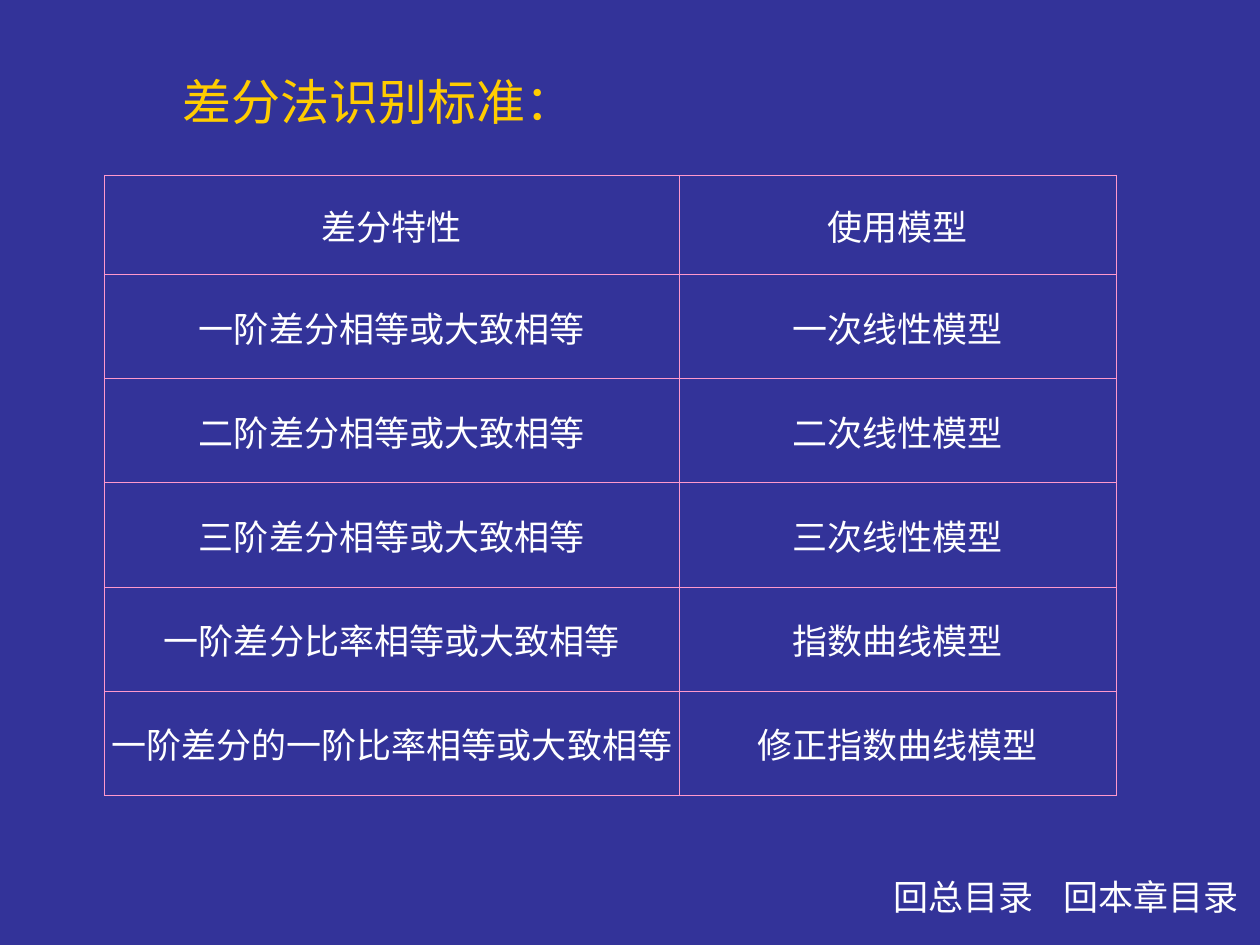
from lxml.etree import SubElement
from pptx import Presentation
from pptx.dml.color import RGBColor
from pptx.enum.text import MSO_ANCHOR as Anchor, MSO_AUTO_SIZE as AutoSize, PP_ALIGN as Align
from pptx.oxml.ns import qn
from pptx.util import Inches, Pt

COLORS = {"background": "333399", "title": "FFCC00", "text": "FFFFFF", "border": "FF99CC"}
TITLE_ONLY_LAYOUT = 5

MODELS_BY_DIFFERENCE = [
    ("差分特性", "使用模型"),
    ("一阶差分相等或大致相等", "一次线性模型"),
    ("二阶差分相等或大致相等", "二次线性模型"),
    ("三阶差分相等或大致相等", "三次线性模型"),
    ("一阶差分比率相等或大致相等", "指数曲线模型"),
    ("一阶差分的一阶比率相等或大致相等", "修正指数曲线模型"),
]


class SlideBuilder:
    body_font = "Arial"
    label_font = "Times New Roman"
    title_size = Pt(28)
    text_size = Pt(20)
    border_width = Pt(0.45)

    def __init__(self, presentation):
        layout = presentation.slide_layouts[TITLE_ONLY_LAYOUT]
        self.slide = presentation.slides.add_slide(layout)
        fill = self.slide.background.fill
        fill.solid()
        fill.fore_color.rgb = RGBColor.from_string(COLORS["background"])

    def add_text(self, paragraph, text, font, size, color, align):
        paragraph.alignment = align
        run = paragraph.add_run()
        run.text = text
        run.font.name = font
        run.font.size = size
        run.font.color.rgb = RGBColor.from_string(COLORS[color])

    def title(self, text, left, top, width, height):
        shape = self.slide.shapes.title
        shape.left, shape.top = Inches(left), Inches(top)
        shape.width, shape.height = Inches(width), Inches(height)
        frame = shape.text_frame
        frame.auto_size = AutoSize.NONE
        frame.vertical_anchor = Anchor.TOP
        frame.margin_left = Inches(0.2)
        self.add_text(frame.paragraphs[0], text, self.body_font, self.title_size,
                      "title", Align.LEFT)

    def label(self, text, left, top, width, height, align):
        box = self.slide.shapes.add_textbox(
            Inches(left), Inches(top), Inches(width), Inches(height))
        frame = box.text_frame
        frame.word_wrap = True
        frame.auto_size = AutoSize.SHAPE_TO_FIT_TEXT
        frame.margin_left = frame.margin_right = 0
        paragraph = frame.paragraphs[0]
        paragraph.line_spacing = 0.9
        self.add_text(paragraph, text, self.label_font, self.text_size, "text", align)

    def table(self, rows, left, top, column_widths, row_heights):
        table = self.slide.shapes.add_table(
            len(rows), len(column_widths), Inches(left), Inches(top),
            Inches(sum(column_widths)), Inches(sum(row_heights))).table
        table.first_row = table.horz_banding = False
        for column, width in zip(table.columns, column_widths):
            column.width = Inches(width)
        for row, height, texts in zip(table.rows, row_heights, rows):
            row.height = Inches(height)
            for cell, text in zip(row.cells, texts):
                self.cell(cell, text)

    def cell(self, cell, text):
        cell.vertical_anchor = Anchor.MIDDLE
        cell.margin_left = cell.margin_right = Inches(0.02)
        self.add_text(cell.text_frame.paragraphs[0], text, self.body_font,
                      self.text_size, "text", Align.CENTER)
        self.borders(cell)
        cell.fill.background()

    def borders(self, cell):
        properties = cell._tc.get_or_add_tcPr()
        for side in ("lnL", "lnR", "lnT", "lnB"):
            line = SubElement(properties, qn(f"a:{side}"), w=str(self.border_width))
            fill = SubElement(line, qn("a:solidFill"))
            SubElement(fill, qn("a:srgbClr"), val=COLORS["border"])


def main():
    presentation = Presentation()
    presentation.slide_width, presentation.slide_height = Inches(10), Inches(7.5)

    builder = SlideBuilder(presentation)
    builder.title("差分法识别标准：", 1.25, 0.52, 4.42, 0.9)

    header_height, table_height = 0.79, 4.92
    body_rows = len(MODELS_BY_DIFFERENCE) - 1
    body_height = (table_height - header_height) / body_rows
    builder.table(MODELS_BY_DIFFERENCE, 0.83, 1.39, [4.56, 3.47],
                  [header_height] + [body_height] * body_rows)

    builder.label("回总目录", 6.94, 6.94, 1.42, 0.4, Align.CENTER)
    builder.label("回本章目录", 8.44, 6.94, 1.46, 0.4, Align.LEFT)
    presentation.save("out.pptx")


if __name__ == "__main__":
    main()
